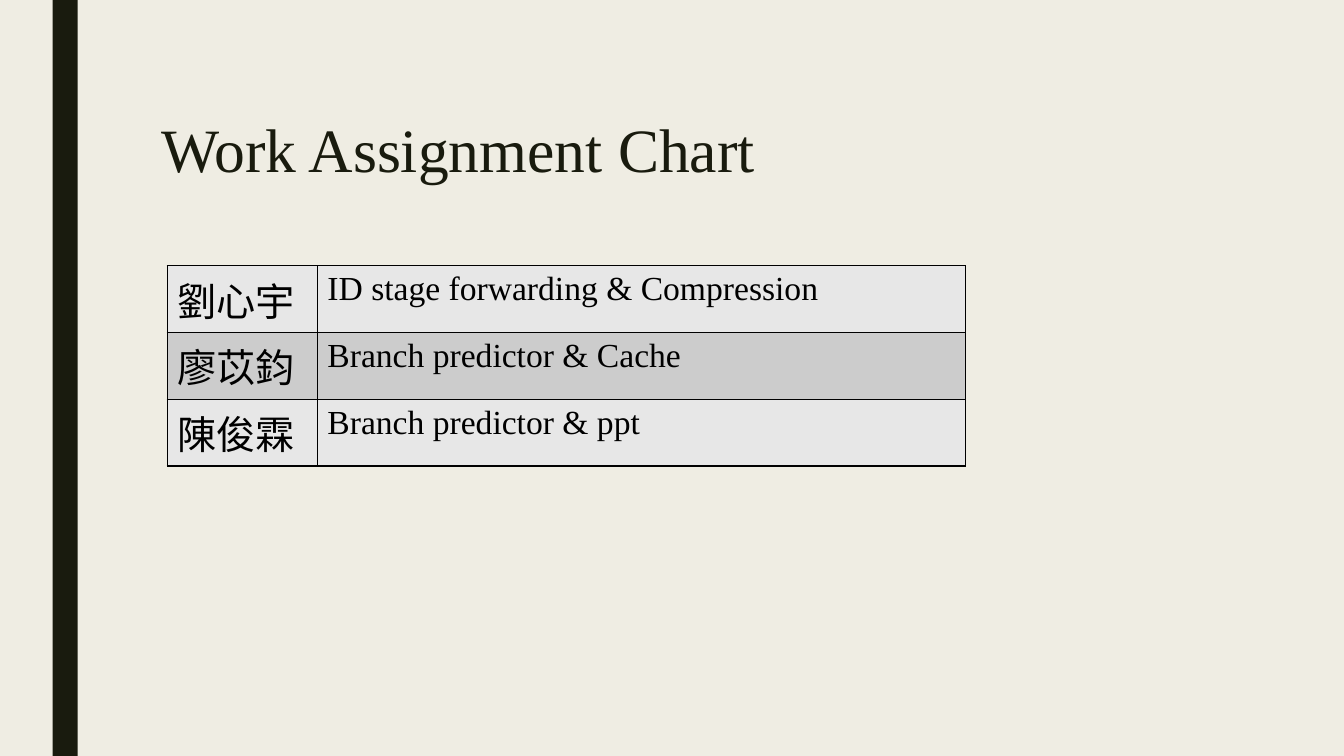
from lxml.etree import SubElement
from pptx import Presentation
from pptx.dml.color import RGBColor
from pptx.enum.shapes import MSO_SHAPE
from pptx.enum.text import MSO_ANCHOR, PP_ALIGN
from pptx.oxml.ns import qn
from pptx.util import Pt

# Content
TITLE = "Work Assignment Chart"
ASSIGNMENTS = [
    ("劉心宇", "ID stage forwarding & Compression"),
    ("廖苡鈞", "Branch predictor & Cache"),
    ("陳俊霖", "Branch predictor & ppt"),
]

# Style: one font and size per table column, alternating row fills
BACKGROUND, DARK, BLACK = "EFEDE3", "191B0E", "000000"
ROW_FILLS = ("E7E7E7", "CCCCCC")
COLUMN_WIDTHS = (107.2, 463)
COLUMN_FONTS = (("Arial", 28), ("Times New Roman", 24))
ROW_HEIGHT = 47.6


def color(value):
    return RGBColor.from_string(value)


def paint(fill, value):
    fill.solid()
    fill.fore_color.rgb = color(value)


def format_runs(paragraph, name, size, value):
    for run in paragraph.runs:
        run.font.name = name
        run.font.size = Pt(size)
        run.font.bold = False
        run.font.color.rgb = color(value)


def add_borders(cell, value, width):
    properties = cell._tc.get_or_add_tcPr()
    for index, side in enumerate(("lnL", "lnR", "lnT", "lnB")):
        line = SubElement(properties, qn(f"a:{side}"), w=str(Pt(width)))
        fill = SubElement(line, qn("a:solidFill"))
        SubElement(fill, qn("a:srgbClr"), val=value)
        properties.insert(index, line)


presentation = Presentation()
presentation.slide_width, presentation.slide_height = Pt(960), Pt(540)
slide = presentation.slides.add_slide(presentation.slide_layouts[5])
paint(slide.background.fill, BACKGROUND)

# Side bar
bar = slide.shapes.add_shape(MSO_SHAPE.RECTANGLE, Pt(37.5), Pt(0), Pt(18), Pt(540))
bar.shadow.inherit = False
paint(bar.fill, DARK)
bar.line.fill.background()

# Title
title = slide.shapes.title
title.left, title.top, title.width, title.height = Pt(108), Pt(77.8), Pt(756), Pt(62.6)
title.text_frame.text = TITLE
title.text_frame.vertical_anchor = MSO_ANCHOR.MIDDLE
heading = title.text_frame.paragraphs[0]
heading.alignment = PP_ALIGN.LEFT
heading.line_spacing = 0.89
format_runs(heading, "Times New Roman", 44, DARK)

# Assignment table
table = slide.shapes.add_table(
    len(ASSIGNMENTS), len(COLUMN_WIDTHS), Pt(119.5), Pt(189.8),
    Pt(sum(COLUMN_WIDTHS)), Pt(ROW_HEIGHT * len(ASSIGNMENTS)),
).table
table.first_row = False
for column, width in zip(table.columns, COLUMN_WIDTHS):
    column.width = Pt(width)
for row_index, assignment in enumerate(ASSIGNMENTS):
    table.rows[row_index].height = Pt(ROW_HEIGHT)
    for column_index, text in enumerate(assignment):
        cell = table.cell(row_index, column_index)
        cell.text_frame.text = text
        format_runs(cell.text_frame.paragraphs[0], *COLUMN_FONTS[column_index], BLACK)
        paint(cell.fill, ROW_FILLS[row_index % 2])
        add_borders(cell, BLACK, 1)

presentation.save("out.pptx")
